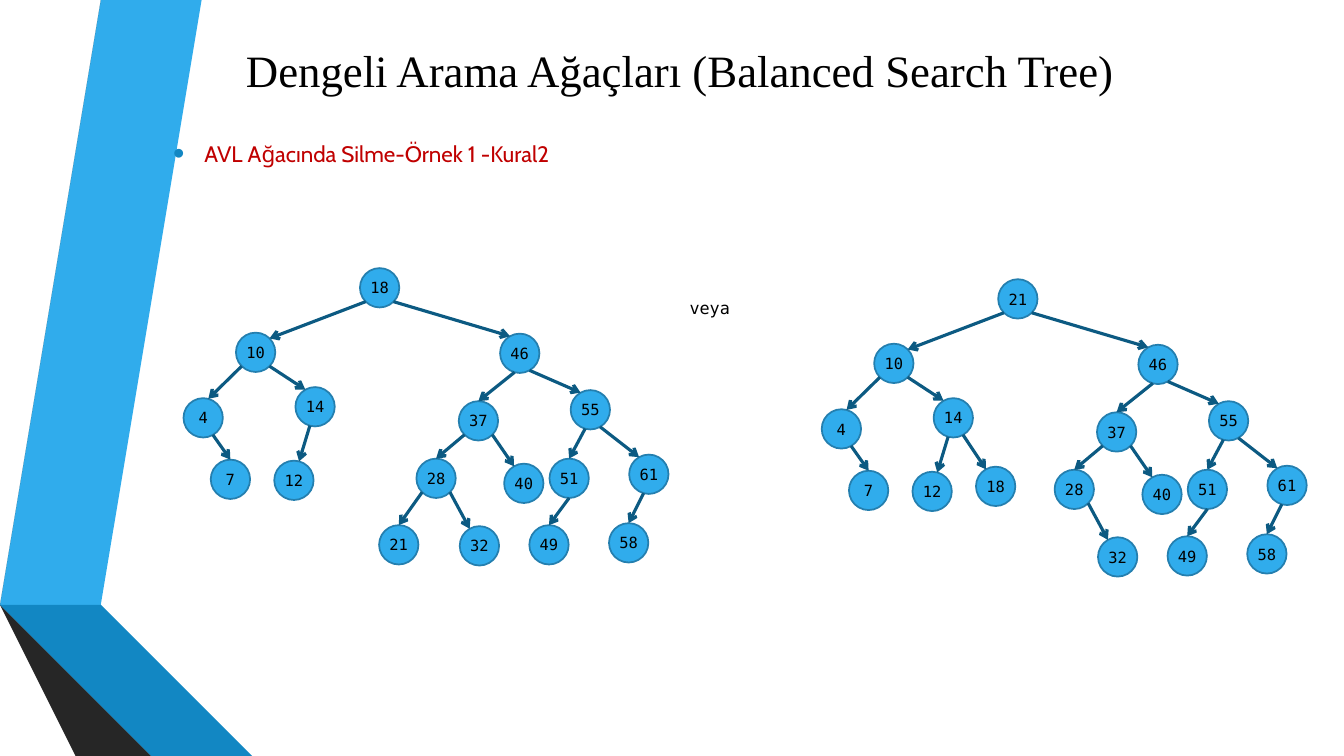
"""Build the slide that compares two AVL trees after a deletion."""
from math import cos, radians, sin

from lxml.etree import SubElement
from pptx import Presentation
from pptx.dml.color import RGBColor
from pptx.enum.shapes import MSO_CONNECTOR, MSO_SHAPE
from pptx.enum.text import MSO_ANCHOR, PP_ALIGN
from pptx.oxml.ns import qn
from pptx.util import Inches, Pt

MONO = "DejaVu Sans Mono"
BLACK, RED = "000000", "C00000"
NODE_FILL, NODE_EDGE, ARROW = "30ACEC", "247FAF", "0C5A82"
BULLET = "1287C3"
DIAMETER = 0.39
TILT = 29.7
TOP, BOTTOM_LEFT, BOTTOM, BOTTOM_RIGHT, TOP_RIGHT = 0, 3, 4, 5, 7

RIBBONS = [
    ("30ACEC", [(0.5, 5.78), (0.77, 5.83), (1.73, 0), (1.45, 0)]),
    ("595959", [(1.39, 0), (1.11, 0), (0.16, 5.73), (0.44, 5.77)]),
    ("262626", [(0.16, 5.73), (1.45, 7.5), (1.51, 7.5)]),
    ("0C5A82", [(0.5, 5.79), (2.08, 7.5), (2.14, 7.5)]),
    ("1287C3", [(0.5, 5.79), (2.14, 7.5), (2.83, 7.5), (0.77, 5.83), (0.5, 5.78)]),
    ("404040", [(2.02, 7.5), (0.48, 5.83), (0.44, 5.77), (0.16, 5.73), (1.51, 7.5)]),
]

ROOT_PLACE = (3.57, 2.66, 0)
SHARED_NODES = {
    "10": (2.34, 3.30, 0), "46": (4.96, 3.31, TILT),
    "4": (1.82, 3.95, TILT), "14": (2.93, 3.84, TILT),
    "37": (4.55, 3.98, 0), "55": (5.66, 3.87, TILT),
    "7": (2.09, 4.56, 0), "12": (2.72, 4.57, TILT),
    "28": (4.13, 4.55, 0), "40": (5.00, 4.60, TILT),
    "51": (5.45, 4.55, 0), "61": (6.24, 4.51, TILT),
    "32": (4.56, 5.22, TILT), "49": (5.25, 5.21, 0), "58": (6.04, 5.19, 0),
}
SHARED_EDGES = [
    ("10", "4", BOTTOM_LEFT, TOP_RIGHT), ("10", "14", BOTTOM_RIGHT, TOP),
    ("46", "37", BOTTOM_LEFT, TOP), ("46", "55", BOTTOM, TOP),
    ("4", "7", BOTTOM, TOP), ("14", "12", BOTTOM_LEFT, TOP_RIGHT),
    ("37", "28", BOTTOM_LEFT, TOP), ("37", "40", BOTTOM_RIGHT, TOP),
    ("55", "51", BOTTOM_LEFT, TOP), ("55", "61", BOTTOM, TOP),
    ("28", "32", BOTTOM_RIGHT, TOP), ("51", "49", BOTTOM, TOP),
    ("61", "58", BOTTOM_LEFT, TOP),
]


def rgb(value):
    """Return the colour for a hex string."""
    return RGBColor.from_string(value)


def write(frame, text, size, font, color):
    """Fill a text frame with one formatted paragraph and return it."""
    frame.text = text
    paragraph = frame.paragraphs[0]
    style = paragraph.runs[0].font
    style.size, style.name = Pt(size), font
    style.color.rgb = rgb(color)
    return paragraph


def add_ribbon(slide, color, points):
    """Draw one piece of the folded ribbon at the left edge."""
    builder = slide.shapes.build_freeform(*points[0], scale=Inches(1))
    builder.add_line_segments(points[1:], close=True)
    ribbon = builder.convert_to_shape()
    ribbon.shadow.inherit = False
    ribbon.fill.solid()
    ribbon.fill.fore_color.rgb = rgb(color)
    ribbon.line.fill.background()


def add_title(slide, text):
    """Place and format the slide title."""
    title = slide.shapes.title
    title.left, title.top = Inches(1.55), Inches(0.17)
    title.width, title.height = Inches(10.39), Inches(1.04)
    title.text_frame.vertical_anchor = MSO_ANCHOR.MIDDLE
    write(title.text_frame, text, 32, "Times New Roman", BLACK).alignment = PP_ALIGN.CENTER


def add_text(slide, text, box, size, font, color):
    """Add a wrapped text box and return its paragraph."""
    frame = slide.shapes.add_textbox(*map(Inches, box)).text_frame
    frame.word_wrap = True
    return write(frame, text, size, font, color)


def add_bullet(paragraph):
    """Give a paragraph a coloured bullet and a hanging indent."""
    properties = paragraph._p.get_or_add_pPr()
    properties.set("marL", str(Inches(0.31)))
    properties.set("indent", str(Inches(-0.31)))
    color = SubElement(properties, qn("a:buClr"))
    SubElement(color, qn("a:srgbClr"), val=BULLET)
    SubElement(properties, qn("a:buSzPct"), val="145000")
    SubElement(properties, qn("a:buFont"), typeface="Arial")
    SubElement(properties, qn("a:buChar"), char="•")


def add_node(shapes, value, x, y):
    """Draw a tree node with its value."""
    node = shapes.add_shape(
        MSO_SHAPE.OVAL, Inches(x), Inches(y), Inches(DIAMETER), Inches(DIAMETER))
    node.shadow.inherit = False
    node.fill.solid()
    node.fill.fore_color.rgb = rgb(NODE_FILL)
    node.line.color.rgb = rgb(NODE_EDGE)
    node.line.width = Pt(1.25)
    frame = node.text_frame
    frame.margin_left = frame.margin_right = frame.margin_top = frame.margin_bottom = 0
    frame.word_wrap = False
    frame.vertical_anchor = MSO_ANCHOR.MIDDLE
    write(frame, value, 11, MONO, BLACK).alignment = PP_ALIGN.CENTER


def rim_point(place, site):
    """Find a site on a node's rim, counted in eighths from the top."""
    x, y, tilt = place
    angle = radians(site * 45 + tilt)
    radius = DIAMETER / 2
    return x + radius * (1 - sin(angle)), y + radius * (1 - cos(angle))


def add_arrow(shapes, start, end):
    """Draw an arrow from a parent to its child."""
    arrow = shapes.add_connector(MSO_CONNECTOR.STRAIGHT, *map(Inches, (*start, *end)))
    arrow.line.color.rgb = rgb(ARROW)
    arrow.line.width = Pt(2.25)
    SubElement(arrow.line._get_or_add_ln(), qn("a:tailEnd"), type="arrow")
    SubElement(arrow._element.spPr, qn("a:effectLst"))


def add_tree(slide, root, leaf, leaf_place, leaf_edge, shift=(0, 0)):
    """Draw the shared tree with its own root and one extra leaf."""
    shapes = slide.shapes.add_group_shape().shapes
    dx, dy = shift
    nodes = {root: ROOT_PLACE, **SHARED_NODES, leaf: leaf_place}
    places = {value: (x + dx, y + dy, tilt) for value, (x, y, tilt) in nodes.items()}
    root_edges = [(root, "10", BOTTOM_LEFT, TOP_RIGHT), (root, "46", BOTTOM_RIGHT, TOP)]
    for value, (x, y, _) in places.items():
        add_node(shapes, value, x, y)
    for parent, child, start, end in root_edges + SHARED_EDGES + [leaf_edge]:
        add_arrow(shapes, rim_point(places[parent], start), rim_point(places[child], end))


def main():
    """Build and save the slide."""
    deck = Presentation()
    deck.slide_width, deck.slide_height = Inches(13.33), Inches(7.5)
    slide = deck.slides.add_slide(deck.slide_layouts[5])
    for color, points in RIBBONS:
        add_ribbon(slide, color, points)
    add_title(slide, "Dengeli Arama Ağaçları (Balanced Search Tree)")
    topic = add_text(slide, "AVL Ağacında Silme-Örnek 1 -Kural2",
                     (1.62, 1.21, 10.94, 0.88), 16, "Cabin", RED)
    topic.line_spacing = 1.5
    add_bullet(topic)
    add_text(slide, "veya", (6.74, 2.9, 0.91, 0.3), 12, MONO, BLACK)
    add_tree(slide, "18", "21", (3.76, 5.21, 0), ("28", "21", BOTTOM_LEFT, TOP))
    add_tree(slide, "21", "18", (3.35, 4.52, TILT), ("14", "18", BOTTOM, TOP),
             shift=(6.33, 0.11))
    deck.save("out.pptx")


main()
